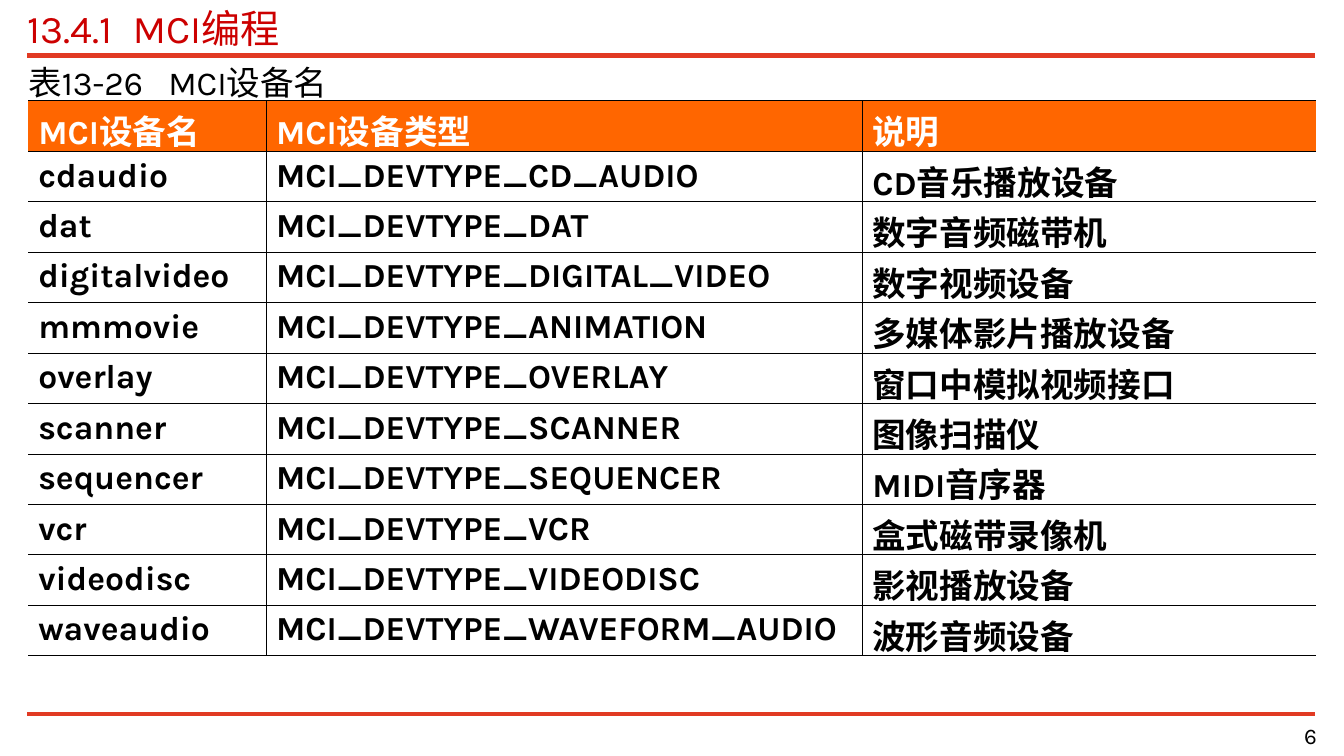
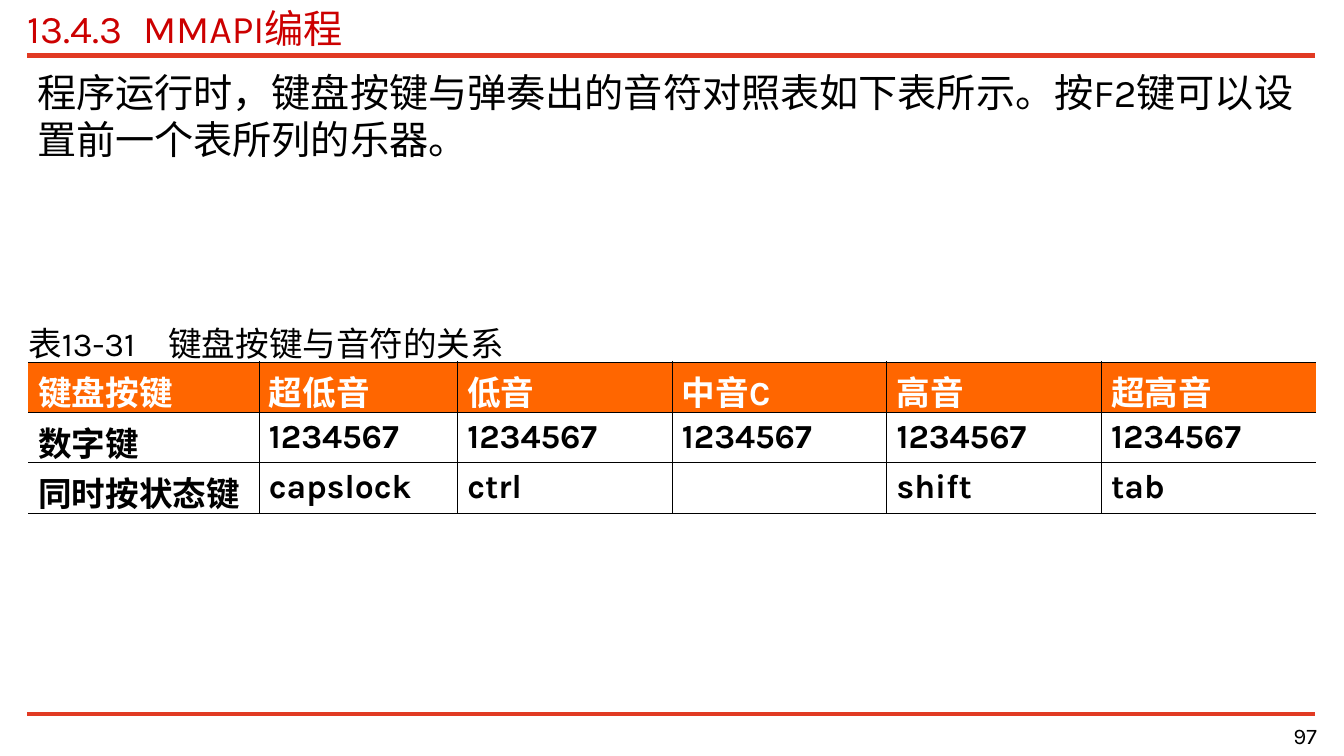
from lxml import etree
from pptx import Presentation
from pptx import util as u
from pptx.dml.color import RGBColor
from pptx.enum import shapes, text
from pptx.oxml import ns

PX = 9144  # EMU in one px, 100 px to the inch
FONT = "Karla"
BLACK, WHITE = "000000", "FFFFFF"
TITLE_RED, RULE_RED, HEADER_ORANGE = "CC0000", "E13A23", "FF6600"
LEFT, RIGHT = 27, 1305
WIDTH = RIGHT - LEFT
ROW_HEIGHT = 50
THIN, THICK = 0.45, 0.62

DEVICES = [
    ("MCI设备名", "MCI设备类型", "说明"),
    ("cdaudio", "MCI_DEVTYPE_CD_AUDIO", "CD音乐播放设备"),
    ("dat", "MCI_DEVTYPE_DAT", "数字音频磁带机"),
    ("digitalvideo", "MCI_DEVTYPE_DIGITAL_VIDEO", "数字视频设备"),
    ("mmmovie", "MCI_DEVTYPE_ANIMATION", "多媒体影片播放设备"),
    ("overlay", "MCI_DEVTYPE_OVERLAY", "窗口中模拟视频接口"),
    ("scanner", "MCI_DEVTYPE_SCANNER", "图像扫描仪"),
    ("sequencer", "MCI_DEVTYPE_SEQUENCER", "MIDI音序器"),
    ("vcr", "MCI_DEVTYPE_VCR", "盒式磁带录像机"),
    ("videodisc", "MCI_DEVTYPE_VIDEODISC", "影视播放设备"),
    ("waveaudio", "MCI_DEVTYPE_WAVEFORM_AUDIO", "波形音频设备"),
]
KEYS = [
    ("键盘按键", "超低音", "低音", "中音C", "高音", "超高音"),
    ("数字键",) + ("1234567",) * 5,
    ("同时按状态键", "capslock", "ctrl", "", "shift", "tab"),
]


def px(*lengths):
    return [u.Emu(length * PX) for length in lengths]


def color(value):
    return RGBColor.from_string(value)


def write(frame, words, size=24, fill=BLACK, bold=False,
          align=text.PP_ALIGN.LEFT, tab=None):
    """Fill a text frame with one paragraph; tab is a tab stop in px."""
    paragraph = frame.paragraphs[0]
    paragraph.alignment = align
    if tab:
        properties = paragraph._p.get_or_add_pPr()
        stops = etree.SubElement(properties, ns.qn("a:tabLst"))
        etree.SubElement(stops, ns.qn("a:tab"), pos=str(tab * PX), algn="l")
    font = paragraph.font
    if words:
        run = paragraph.add_run()
        run.text = words
        font = run.font
    font.name, font.size, font.bold = FONT, u.Pt(size), bold
    font.color.rgb = color(fill)


def add_text(slide, box, words, inset=(0, 0), anchor=text.MSO_ANCHOR.MIDDLE,
             **style):
    frame = slide.shapes.add_textbox(*px(*box)).text_frame
    frame.word_wrap = True
    frame.vertical_anchor = anchor
    frame.margin_left, frame.margin_top = px(*inset)
    frame.margin_right, frame.margin_bottom = px(*inset)
    write(frame, words, **style)


def add_rule(slide, y, weight):
    rule = slide.shapes.add_connector(
        shapes.MSO_CONNECTOR.STRAIGHT, *px(LEFT, y, RIGHT, y))
    rule.line.color.rgb = color(RULE_RED)
    rule.line.width = u.Pt(weight)
    etree.SubElement(rule._element.spPr, ns.qn("a:effectLst"))


def set_border(cell, side, weight):
    """Draw one side (L, R, T or B) of a cell; no weight means no line."""
    properties = cell._tc.get_or_add_tcPr()
    line = etree.SubElement(properties, ns.qn("a:ln" + side),
                            w=str(u.Pt(weight)))
    if weight:
        fill = etree.SubElement(line, ns.qn("a:solidFill"))
        etree.SubElement(fill, ns.qn("a:srgbClr"), val=BLACK)
    else:
        etree.SubElement(line, ns.qn("a:noFill"))


def add_table(slide, top, widths, rows):
    """Add a ruled table that is open at its left and right sides."""
    last_row, last_column = len(rows) - 1, len(widths) - 1
    table = slide.shapes.add_table(
        len(rows), len(widths),
        *px(LEFT + 1, top, sum(widths), ROW_HEIGHT * len(rows))).table
    table.horz_banding = table.first_row = False
    for column, width in zip(table.columns, widths):
        column.width = u.Emu(width * PX)
    for i, row in enumerate(rows):
        header = i == 0
        for j, words in enumerate(row):
            cell = table.cell(i, j)
            write(cell.text_frame, words, bold=True,
                  fill=WHITE if header else BLACK)
            set_border(cell, "L", THIN if j > 0 else 0)
            set_border(cell, "R", THIN if j < last_column else 0)
            set_border(cell, "T", THICK if i <= 1 else THIN)
            set_border(cell, "B", THICK if i in (0, last_row) else THIN)
            if header:
                cell.fill.solid()
                cell.fill.fore_color.rgb = color(HEADER_ORANGE)
            else:
                cell.fill.background()


def add_caption(slide, top, words):
    add_text(slide, (LEFT + 1, top, WIDTH, 40), words, tab=139)


def add_slide(presentation, title, tab, number):
    """Add a slide with the shared rules, title and page number."""
    slide = presentation.slides.add_slide(presentation.slide_layouts[6])
    add_rule(slide, 55, 4)
    add_rule(slide, 708, 3)
    add_text(slide, (LEFT, 4, WIDTH, 47), title, size=28, fill=TITLE_RED,
             tab=tab)
    add_text(slide, (1039, 716, 268, 31), number, size=16,
             align=text.PP_ALIGN.RIGHT, anchor=text.MSO_ANCHOR.TOP)
    return slide


def main():
    presentation = Presentation()
    presentation.slide_width, presentation.slide_height = px(1334, 750)

    slide = add_slide(presentation, "13.4.1\tMCI编程", 105, "6")
    add_caption(slide, 61, "表13-26\tMCI设备名")
    add_table(slide, 100, [236, 592, 450], DEVICES)

    slide = add_slide(presentation, "13.4.3\tMMAPI编程", 115, "97")
    add_caption(slide, 320, "表13-31\t键盘按键与音符的关系")
    add_table(slide, 359, [229, 197] + [213] * 4, KEYS)
    add_text(slide, (LEFT, 63, WIDTH, 635),
             "程序运行时，键盘按键与弹奏出的音符对照表如下表所示。"
             "按F2键可以设置前一个表所列的乐器。",
             size=28, inset=(10, 5), anchor=text.MSO_ANCHOR.TOP)

    presentation.save("out.pptx")


if __name__ == "__main__":
    main()
